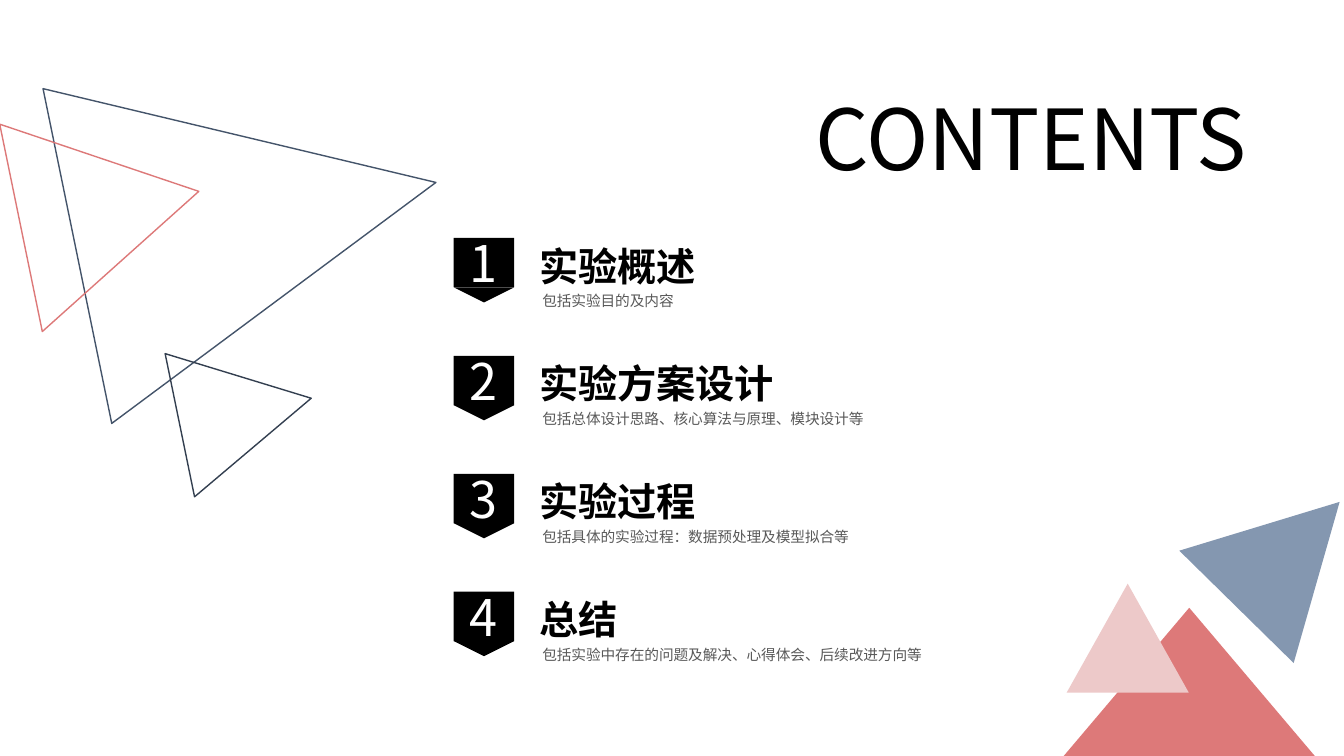
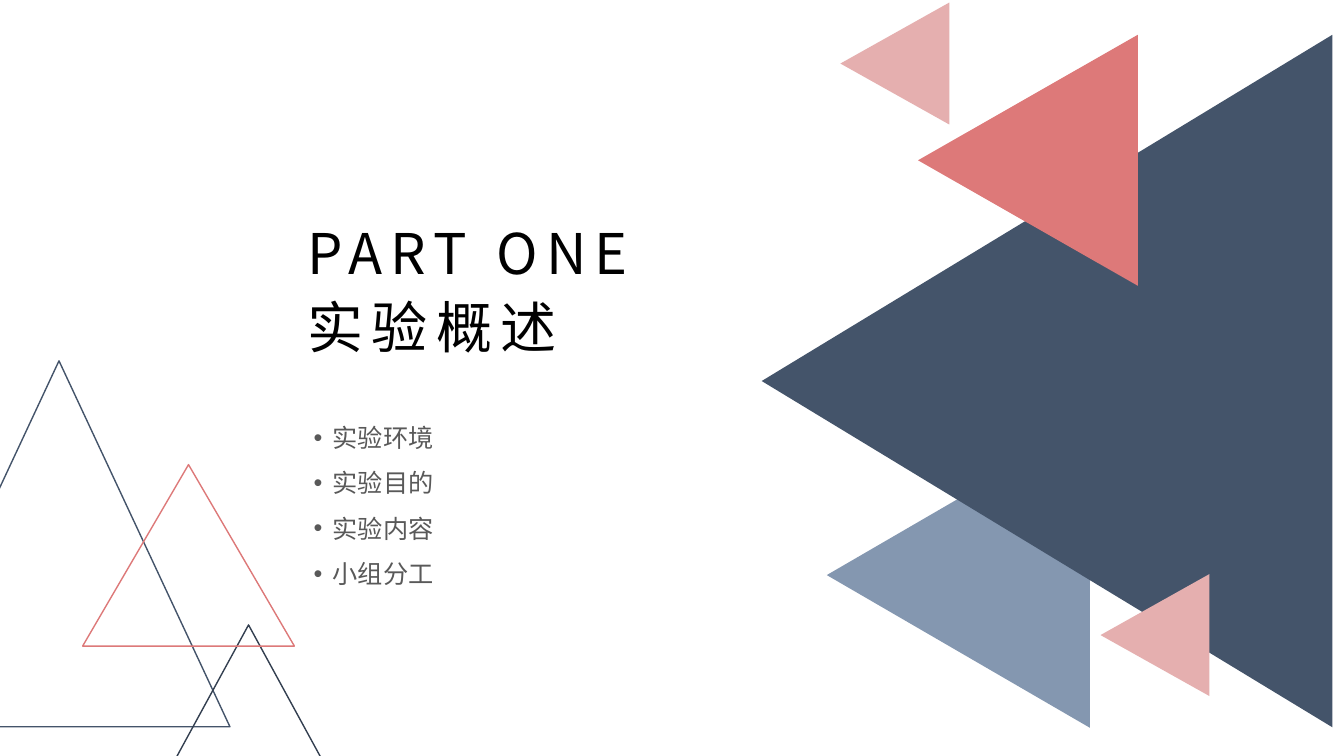
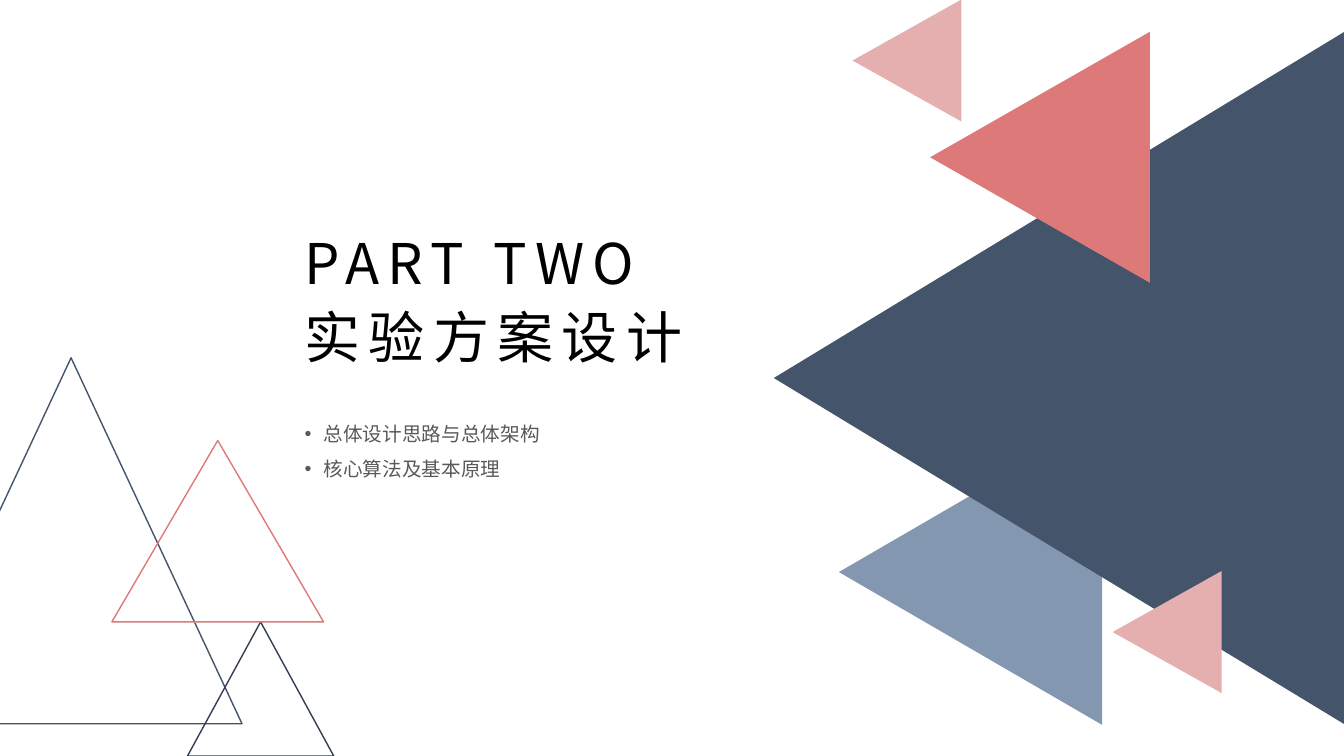
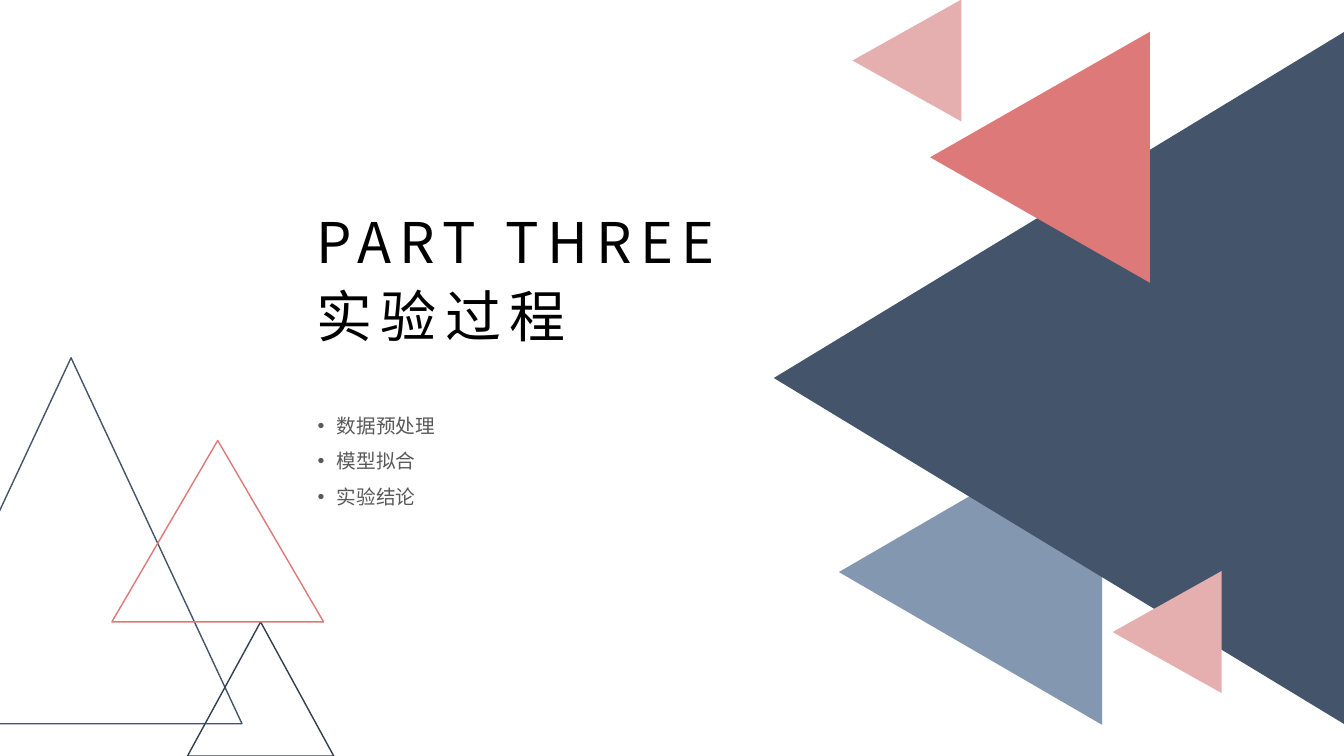
import pptx
import pptx.util
import pptx.dml.color
import pptx.enum.shapes
import pptx.enum.text
import pptx.oxml.ns
import lxml.etree

Inches, Pt = pptx.util.Inches, pptx.util.Pt
RGB = pptx.dml.color.RGBColor.from_string
SHAPE = pptx.enum.shapes.MSO_SHAPE
ANCHOR = pptx.enum.text.MSO_ANCHOR
ALIGN = pptx.enum.text.PP_ALIGN
NO_FIT = pptx.enum.text.MSO_AUTO_SIZE.NONE
qn = pptx.oxml.ns.qn

FONT = "Noto Sans CJK SC"
COLORS = {
    "black": "000000", "white": "FFFFFF", "grey": "595959",
    "navy": "44546A", "dark": "333F50", "steel": "8497B0",
    "red": "DD7979", "pink": "E5AFAF", "pale": "EDC9C9",
}


def add_shape(s, kind, box, fill=None, line=None, rotation=0):
    """Add a flat shape, either filled or outlined."""
    sp = s.shapes.add_shape(kind, *map(Inches, box))
    sp.rotation = rotation
    sp.shadow.inherit = False
    if fill:
        sp.fill.solid()
        sp.fill.fore_color.rgb = RGB(COLORS[fill])
    else:
        sp.fill.background()
    if line:
        sp.line.color.rgb = RGB(COLORS[line])
        sp.line.width = Pt(1)
    else:
        sp.line.fill.background()
    return sp


def add_run(p, text, size, color="black", bold=False, spacing=0):
    """Add a run in the deck font; spacing is in points between letters."""
    r = p.add_run()
    r.text = text
    r.font.size = Pt(size)
    r.font.bold = bold
    r.font.color.rgb = RGB(COLORS[color])
    r.font.name = FONT
    rPr = r.font._element
    lxml.etree.SubElement(rPr, qn("a:ea"), typeface=FONT)
    if spacing:
        rPr.set("spc", str(spacing * 100))


prs = pptx.Presentation()
prs.slide_width, prs.slide_height = Inches(13.33), Inches(7.5)

# Contents
s = prs.slides.add_slide(prs.slide_layouts[5])
sp = s.shapes.title
sp.left, sp.top, sp.width, sp.height = map(Inches, (7.64, 0.81, 5.17, 1.11))
tf = sp.text_frame
tf.auto_size = NO_FIT
tf.vertical_anchor = ANCHOR.TOP
tf.paragraphs[0].alignment = ALIGN.CENTER
add_run(tf.paragraphs[0], "CONTENTS", 60)

for box, fill, line, rotation in [
    ((0.85, 0.36, 3.39, 3.63), None, "navy", 78.4),
    ((1.71, 3.42, 1.45, 1.33), None, "dark", 78.4),
    ((0.04, 1.18, 2.1, 1.8), None, "red", 78.4),
    ((10.55, 6.03, 2.49, 1.47), "red", None, 0),
    ((10.58, 5.79, 1.21, 1.08), "pale", None, 0),
    ((11.98, 4.77, 1.59, 1.46), "steel", None, 44.5),
]:
    add_shape(s, SHAPE.ISOSCELES_TRIANGLE, box, fill, line, rotation)

chapters = [
    ("实验概述", "包括实验目的及内容"),
    ("实验方案设计", "包括总体设计思路、核心算法与原理、模块设计等"),
    ("实验过程", "包括具体的实验过程：数据预处理及模型拟合等"),
    ("总结", "包括实验中存在的问题及解决、心得体会、后续改进方向等"),
]
for i, (heading, detail) in enumerate(chapters):
    top = 2.36 + 1.17 * i
    sp = add_shape(s, SHAPE.RECTANGLE, (4.5, top, 0.6, 0.49), "black")
    tf = sp.text_frame
    tf.vertical_anchor = ANCHOR.MIDDLE
    tf.paragraphs[0].alignment = ALIGN.CENTER
    add_run(tf.paragraphs[0], str(i + 1), 36, "white")
    add_shape(s, SHAPE.ISOSCELES_TRIANGLE, (4.5, top + 0.49, 0.6, 0.15), "black", rotation=180)
    for box, text, size, color, bold, spacing in [
        ((5.25, top - 0.15, 3.56, 0.65), heading, 28, "black", True, 1.3),
        ((5.28, top + 0.4, 4.02, 0.33), detail, 10.5, "grey", False, 1.5),
    ]:
        tf = s.shapes.add_textbox(*map(Inches, box)).text_frame
        tf.word_wrap = True
        tf.paragraphs[0].line_spacing = spacing
        add_run(tf.paragraphs[0], text, size, color, bold)

# Section openers
section_triangles = [
    ((8.11, 4.37, 3.03, 2.61), "steel", None, 270),
    ((7.07, 0.92, 6.87, 5.66), "navy", None, 270),
    ((9.07, 0.47, 2.49, 2.18), "red", None, 270),
    ((8.39, 0.06, 1.21, 1.08), "pink", None, 270),
    ((10.97, 5.73, 1.21, 1.08), "pink", None, 270),
    ((-0.99, 3.55, 3.39, 3.63), None, "navy", 0),
    ((1.86, 6.17, 1.45, 1.33), None, "dark", 0),
]
# part, topics, topic size, title position, list box, triangle shift, red outline position
sections = [
    ("PART ONE", ["实验环境", "实验目的", "实验内容", "小组分工"], 18,
     (2.92, 2.1), (3.01, 3.99, 6.34, 1.87), (-0.12, 0.03), (0.82, 4.61)),
    ("PART TWO", ["总体设计思路与总体架构", "核心算法及基本原理"], 14,
     (2.89, 2.2), (2.92, 4.02, 6.34, 0.77), (0, 0), (1.11, 4.37)),
    ("PART THREE", ["数据预处理", "模型拟合", "实验结论"], 14,
     (3.01, 1.99), (3.05, 3.94, 6.34, 1.12), (0, 0), (1.11, 4.37)),
]
for (heading, _), section in zip(chapters, sections):
    part, topics, size, title_at, list_box, (dx, dy), outline_at = section
    s = prs.slides.add_slide(prs.slide_layouts[1])
    for (x, y, w, h), fill, line, rotation in section_triangles:
        add_shape(s, SHAPE.ISOSCELES_TRIANGLE, (x + dx, y + dy, w, h), fill, line, rotation)
    add_shape(s, SHAPE.ISOSCELES_TRIANGLE, (*outline_at, 2.1, 1.8), line="red")

    sp = s.shapes.title
    sp.left, sp.top, sp.width, sp.height = map(Inches, (*title_at, 4.87, 1.69))
    tf = sp.text_frame
    tf.auto_size = NO_FIT
    tf.vertical_anchor = ANCHOR.TOP
    tf.margin_left = tf.margin_right = Inches(0.13)
    tf.margin_top = tf.margin_bottom = Inches(0.07)
    for i, text in enumerate((part, heading)):
        p = tf.add_paragraph() if i else tf.paragraphs[0]
        p.alignment = ALIGN.LEFT
        p.space_before = Pt(5 * i)
        add_run(p, text, 40, spacing=6)

    sp = s.placeholders[1]
    sp.left, sp.top, sp.width, sp.height = map(Inches, list_box)
    tf = sp.text_frame
    tf.auto_size = NO_FIT
    for i, text in enumerate(topics):
        p = tf.add_paragraph() if i else tf.paragraphs[0]
        p.line_spacing = 1.5
        p.space_before = Pt(0)
        pPr = p._p.get_or_add_pPr()
        pPr.set("marL", str(Inches(0.19)))
        pPr.set("indent", str(-Inches(0.19)))
        lxml.etree.SubElement(pPr, qn("a:buChar"), char="•")
        add_run(p, text, size, "grey")

prs.save("out.pptx")
